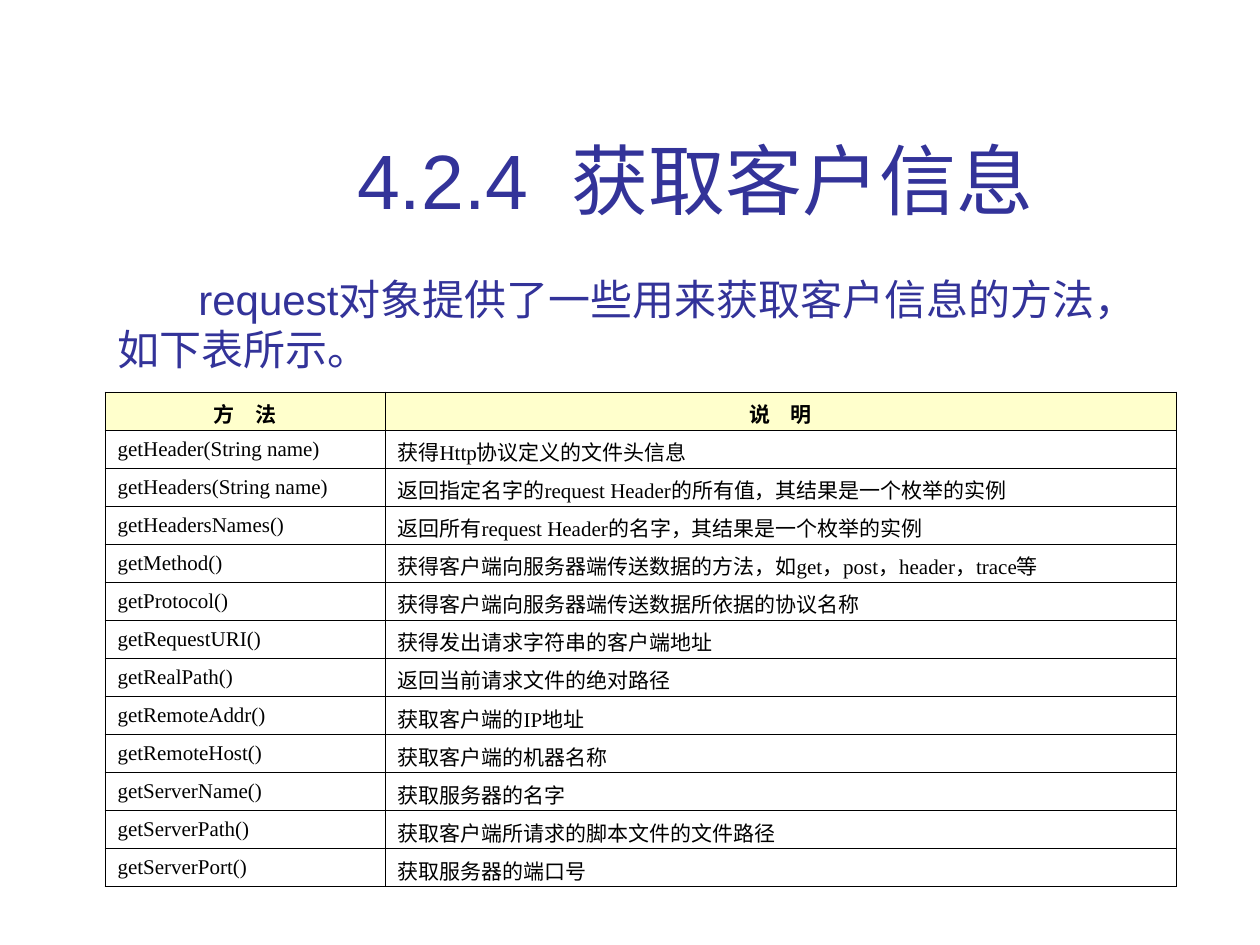
from lxml.etree import SubElement
from pptx import Presentation
from pptx.dml.color import RGBColor
from pptx.enum.text import MSO_ANCHOR as Anchor, MSO_AUTO_SIZE as AutoSize, PP_ALIGN as Align
from pptx.oxml.ns import qn
from pptx.util import Pt

PX = 914400 / 126
NAVY, BLACK, CREAM = "333399", "000000", "FFFFCC"

HEADINGS = ("方　法", "说　明")
METHODS = (
    ("getHeader(String name)", "获得Http协议定义的文件头信息"),
    ("getHeaders(String name)", "返回指定名字的request Header的所有值，其结果是一个枚举的实例"),
    ("getHeadersNames()", "返回所有request Header的名字，其结果是一个枚举的实例"),
    ("getMethod()", "获得客户端向服务器端传送数据的方法，如get，post，header，trace等"),
    ("getProtocol()", "获得客户端向服务器端传送数据所依据的协议名称"),
    ("getRequestURI()", "获得发出请求字符串的客户端地址"),
    ("getRealPath()", "返回当前请求文件的绝对路径"),
    ("getRemoteAddr()", "获取客户端的IP地址"),
    ("getRemoteHost()", "获取客户端的机器名称"),
    ("getServerName()", "获取服务器的名字"),
    ("getServerPath()", "获取客户端所请求的脚本文件的文件路径"),
    ("getServerPort()", "获取服务器的端口号"),
)


def px(length):
    return round(length * PX)


def rgb(value):
    return RGBColor.from_string(value)


def set_all(target, values):
    for name, value in values.items():
        setattr(target, name, value)


def write(frame, text, color, align, font):
    paragraph = frame.paragraphs[0]
    paragraph.alignment = align
    run = paragraph.add_run()
    run.text = text
    set_all(run.font, font)
    run.font.color.rgb = rgb(color)
    return paragraph


def place_title(slide, box):
    title = slide.shapes.title
    set_all(title, dict(zip(("left", "top", "width", "height"), map(px, box))))
    frame = title.text_frame
    set_all(frame, {"word_wrap": True, "auto_size": AutoSize.NONE, "vertical_anchor": Anchor.BOTTOM})
    write(frame, "4.2.4  获取客户信息", NAVY, Align.CENTER, {"name": "Arial", "size": Pt(44)})


def add_introduction(slide, box):
    frame = slide.shapes.add_textbox(*map(px, box)).text_frame
    set_all(frame, {"word_wrap": True, "auto_size": AutoSize.SHAPE_TO_FIT_TEXT})
    text = "request对象提供了一些用来获取客户信息的方法，如下表所示。"
    paragraph = write(frame, text, NAVY, Align.LEFT, {"name": "Arial", "size": Pt(24)})
    paragraph._p.get_or_add_pPr().set("indent", str(px(81)))


def add_borders(cell):
    properties = cell._tc.get_or_add_tcPr()
    for side in ("lnL", "lnR", "lnT", "lnB"):
        line = SubElement(properties, qn(f"a:{side}"), w=str(Pt(0.45)))
        fill = SubElement(line, qn("a:solidFill"))
        SubElement(fill, qn("a:srgbClr"), val=BLACK)


def fill_cell(cell, text, heading):
    cell.vertical_anchor = Anchor.TOP if heading else Anchor.MIDDLE
    add_borders(cell)
    if heading:
        cell.fill.solid()
        cell.fill.fore_color.rgb = rgb(CREAM)
    else:
        cell.fill.background()
    font = {"name": "Times New Roman", "size": Pt(12), "bold": heading}
    write(cell.text_frame, text, BLACK, Align.CENTER if heading else Align.LEFT, font)


def add_method_table(slide, box, first_column):
    rows = (HEADINGS, *METHODS)
    table = slide.shapes.add_table(len(rows), len(HEADINGS), *map(px, box)).table
    table.horz_banding = False
    table.columns[0].width = px(first_column)
    table.columns[1].width = px(box[2] - first_column)
    for row_index, row in enumerate(rows):
        for column_index, text in enumerate(row):
            fill_cell(table.cell(row_index, column_index), text, row_index == 0)


def main():
    presentation = Presentation()
    set_all(presentation, {"slide_width": px(1260), "slide_height": px(945)})
    slide = presentation.slides.add_slide(presentation.slide_layouts[5])
    place_title(slide, (159, 29, 1073, 202))
    add_introduction(slide, (105, 267, 1072, 113))
    add_method_table(slide, (105, 392, 1071, 495), 280)
    presentation.save("out.pptx")


if __name__ == "__main__":
    main()
